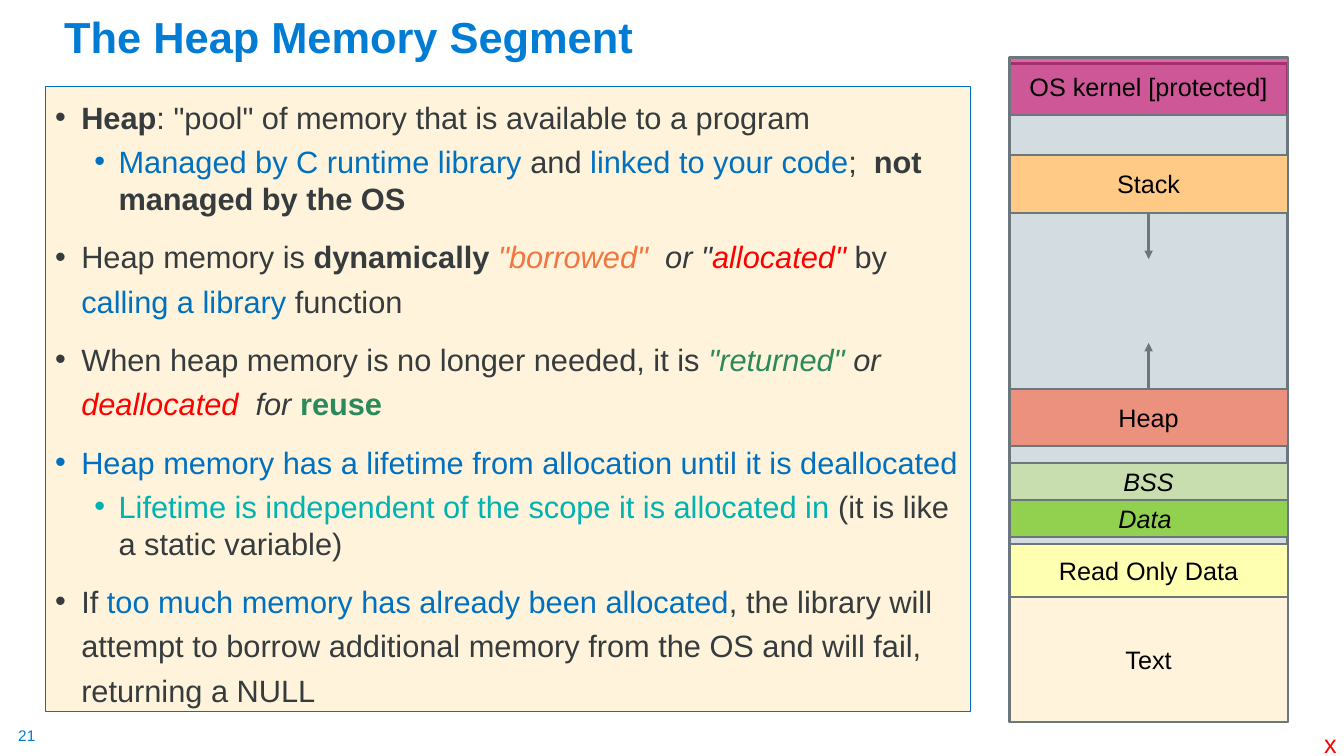
from dataclasses import dataclass

from lxml.etree import SubElement
from pptx import Presentation
from pptx.dml.color import RGBColor
from pptx.enum.shapes import MSO_CONNECTOR as Connector, MSO_SHAPE as Shape
from pptx.enum.text import MSO_ANCHOR as Anchor, PP_ALIGN as Align
from pptx.oxml.ns import qn
from pptx.util import Cm, Pt


@dataclass(frozen=True)
class Theme:
    font: str = "Arial"
    # Type sizes
    title_size: float = 31
    body_size: float = 22
    label_size: float = 18
    number_size: float = 11
    # Text colours
    accent: str = "007CD5"
    ink: str = "363B3E"
    black: str = "000000"
    blue: str = "0070C0"
    orange: str = "F3753F"
    red: str = "FF0000"
    green: str = "2C895B"
    teal: str = "00B2B1"
    # Fills and lines
    cream: str = "FFF4DB"
    edge: str = "6B767D"
    free: str = "D3DCE1"
    kernel: str = "CC0066"
    stack: str = "FFCA86"
    heap: str = "ED917F"
    bss: str = "C9DEAE"
    data: str = "92D050"
    read_only: str = "FFFFB2"


THEME = Theme()

# Each point: level, then runs of (text, colour, style) with style b or i
POINTS = [
    (0, [("Heap", THEME.ink, "b"),
         (": \"pool\" of memory that is available to a program", THEME.ink, "")]),
    (1, [("Managed by C runtime library ", THEME.blue, ""),
         ("and ", THEME.ink, ""),
         ("linked to your code", THEME.blue, ""),
         ("; ", THEME.ink, ""),
         (" not managed by the OS", THEME.ink, "b")]),
    (0, [("Heap memory is ", THEME.ink, ""),
         ("dynamically ", THEME.ink, "b"),
         ("\"borrowed\"", THEME.orange, "i"),
         ("  or \"", THEME.ink, "i"),
         ("allocated\" ", THEME.red, "i"),
         ("by ", THEME.ink, ""),
         ("calling a library ", THEME.blue, ""),
         ("function", THEME.ink, "")]),
    (0, [("When heap memory is no longer needed, it is ", THEME.ink, ""),
         ("\"returned\" ", THEME.green, "i"),
         ("or ", THEME.ink, "i"),
         ("deallocated", THEME.red, "i"),
         ("  for ", THEME.ink, "i"),
         ("reuse", THEME.green, "b")]),
    (0, [("Heap memory has a lifetime from allocation until it is deallocated",
          THEME.blue, "")]),
    (1, [("Lifetime is independent of the scope it is allocated in ", THEME.teal, ""),
         ("(it is like a static variable)", THEME.ink, "")]),
    (0, [("If ", THEME.ink, ""),
         ("too much memory has already been allocated", THEME.blue, ""),
         (", the library will attempt to borrow additional memory from the OS "
          "and will fail, returning a NULL", THEME.ink, "")]),
]

# Each segment: label, top, height, fill, italic, opacity in percent
SEGMENTS = [
    ("OS kernel [protected]", 1.45, 1.45, THEME.kernel, False, 60),
    ("Stack", 3.91, 1.45, THEME.stack, False, 100),
    ("Heap", 9.8, 1.45, THEME.heap, False, 100),
    ("BSS", 11.66, 0.94, THEME.bss, True, 100),
    ("Data ", 12.6, 0.94, THEME.data, True, 100),
    ("Read Only Data", 13.72, 1.32, THEME.read_only, False, 100),
    ("Text", 15.04, 3.15, THEME.cream, False, 100),
]
MAP_LEFT, MAP_WIDTH = 25.44, 7.01


def write(paragraph, text, size, color, bold=False, italic=False):
    run = paragraph.add_run()
    run.text = text
    font = run.font
    font.name, font.size = THEME.font, Pt(size)
    font.bold, font.italic = bold, italic
    font.color.rgb = RGBColor.from_string(color)


class SlideBuilder:
    def __init__(self, slide, theme):
        self.slide, self.theme = slide, theme

    def text(self, text, left, top, width, height, wrap=False, inset=None,
             anchor=Anchor.TOP, spacing=None, **style):
        box = self.slide.shapes.add_textbox(Cm(left), Cm(top), Cm(width), Cm(height))
        frame = box.text_frame
        frame.word_wrap, frame.vertical_anchor = wrap, anchor
        if inset is not None:
            frame.margin_left = frame.margin_right = Cm(inset)
            frame.margin_top = frame.margin_bottom = Cm(inset)
        paragraph = frame.paragraphs[0]
        paragraph.line_spacing = spacing
        write(paragraph, text, **style)

    def box(self, left, top, width, height, fill, line, weight, opacity=100):
        box = self.slide.shapes.add_shape(
            Shape.RECTANGLE, Cm(left), Cm(top), Cm(width), Cm(height))
        box.shadow.inherit = False
        box.fill.solid()
        box.fill.fore_color.rgb = RGBColor.from_string(fill)
        box.line.color.rgb = RGBColor.from_string(line)
        box.line.width = Pt(weight)
        if opacity < 100:
            color = box.element.spPr.find(qn("a:solidFill")).find(qn("a:srgbClr"))
            SubElement(color, qn("a:alpha"), val=str(opacity * 1000))
        box.text_frame.word_wrap = True
        return box

    def segment(self, label, top, height, fill, italic, opacity):
        band = self.box(MAP_LEFT, top, MAP_WIDTH, height, fill,
                        self.theme.edge, 1.5, opacity)
        band.text_frame.vertical_anchor = Anchor.MIDDLE
        paragraph = band.text_frame.paragraphs[0]
        paragraph.alignment = Align.CENTER
        write(paragraph, label, self.theme.label_size, self.theme.black, italic=italic)
        return band

    def bullets(self, panel, points):
        frame = panel.text_frame
        frame.vertical_anchor = Anchor.TOP
        for index, (level, runs) in enumerate(points):
            paragraph = frame.add_paragraph() if index else frame.paragraphs[0]
            margin, hang = ((0.66, 0.66), (1.6, 0.61))[level]
            props = paragraph._p.get_or_add_pPr()
            props.set("marL", str(Cm(margin)))
            props.set("indent", str(-Cm(hang)))
            SubElement(props, qn("a:buFont"), typeface=self.theme.font)
            SubElement(props, qn("a:buChar"), char="•")
            paragraph.level = level
            paragraph.alignment = Align.LEFT
            paragraph.line_spacing = (1.2, 1.0)[level]
            paragraph.space_before = Pt((10, 5)[level] if index else 0)
            for text, color, style in runs:
                write(paragraph, text, self.theme.body_size, color,
                      bold=style == "b", italic=style == "i")

    def growth_arrow(self, band, side, tip):
        middle = band.left + band.width // 2
        arrow = self.slide.shapes.add_connector(
            Connector.STRAIGHT, middle, band.top, middle, Cm(tip))
        arrow.begin_connect(band, side)
        arrow.line.color.rgb = RGBColor.from_string(self.theme.edge)
        arrow.line.width = Pt(2)
        SubElement(arrow.line._get_or_add_ln(), qn("a:tailEnd"), type="triangle")
        SubElement(arrow._element.spPr, qn("a:effectLst"))


def main():
    deck = Presentation()
    deck.slide_width, deck.slide_height = Cm(33.87), Cm(19.05)
    page = SlideBuilder(deck.slides.add_slide(deck.slide_layouts[6]), THEME)

    # Page number, bullet panel and title
    page.text("21", 0.46, 18.31, 0.48, 0.48, inset=0,
              size=THEME.number_size, color=THEME.accent)
    panel = page.box(1.14, 2.18, 23.32, 15.75, THEME.cream, THEME.blue, 0.75)
    page.bullets(panel, POINTS)
    page.text("The Heap Memory Segment", 1.37, 0.23, 19.61, 1.47, wrap=True,
              anchor=Anchor.BOTTOM, spacing=0.9,
              size=THEME.title_size, color=THEME.accent, bold=True)

    # Corner mark
    page.text("x", 33.12, 18.24, 0.84, 1.02, size=THEME.label_size, color=THEME.red)

    # Memory map
    page.box(MAP_LEFT, 1.6, MAP_WIDTH, 16.59, THEME.free, THEME.edge, 2)
    bands = {segment[0]: page.segment(*segment) for segment in SEGMENTS}

    # Stack grows down, heap grows up
    page.growth_arrow(bands["Stack"], side=2, tip=6.53)
    page.growth_arrow(bands["Heap"], side=0, tip=8.64)

    deck.save("out.pptx")


if __name__ == "__main__":
    main()
